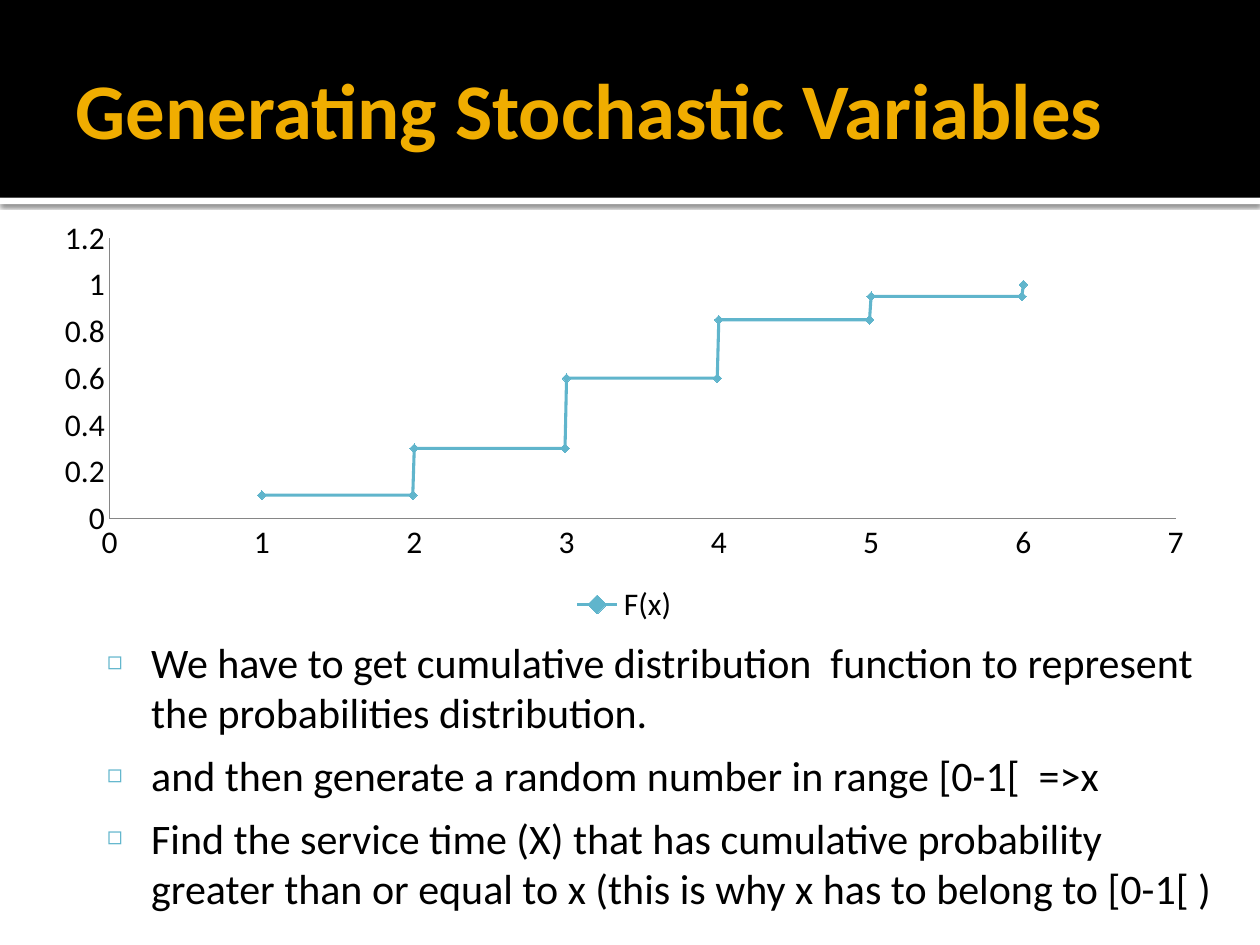
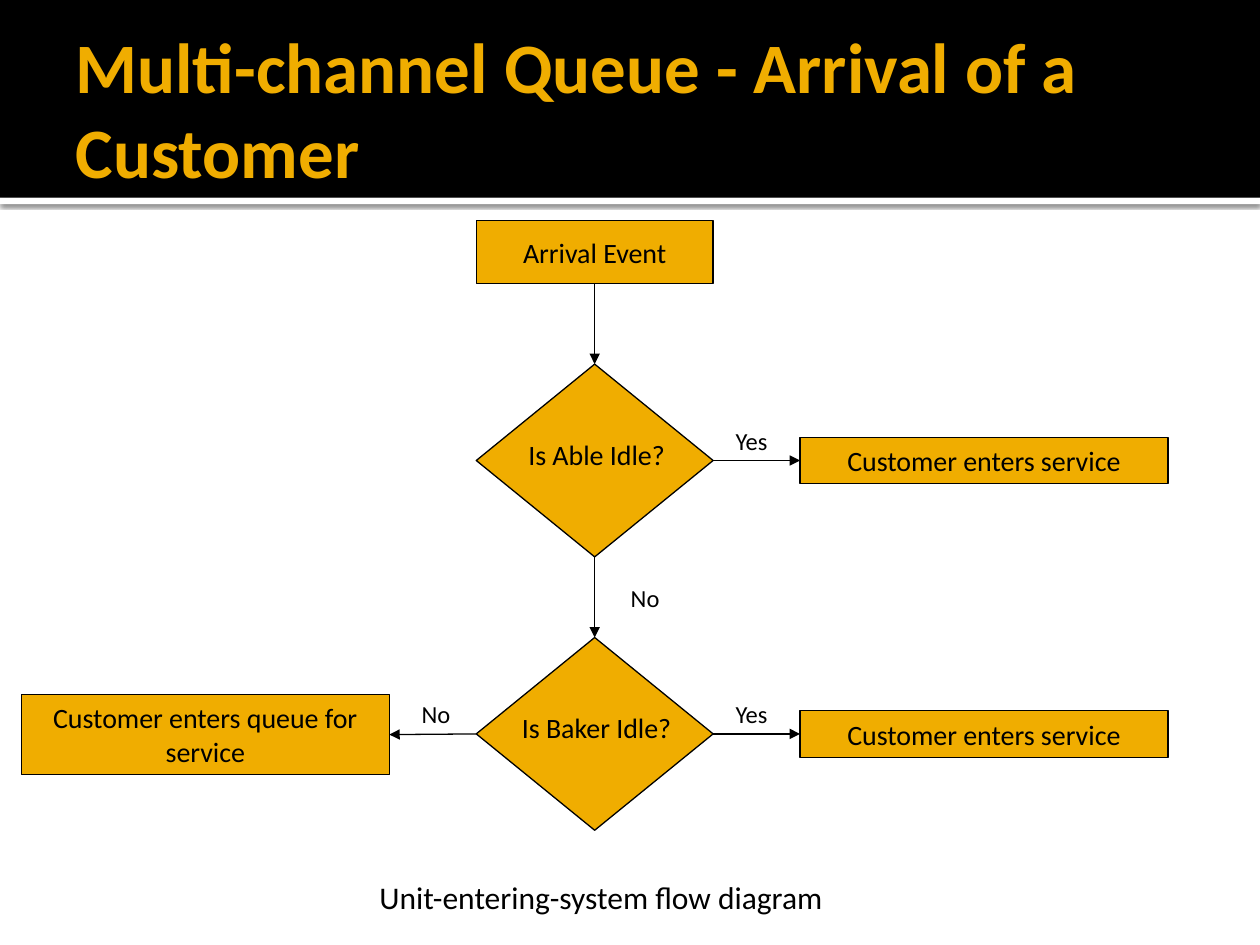
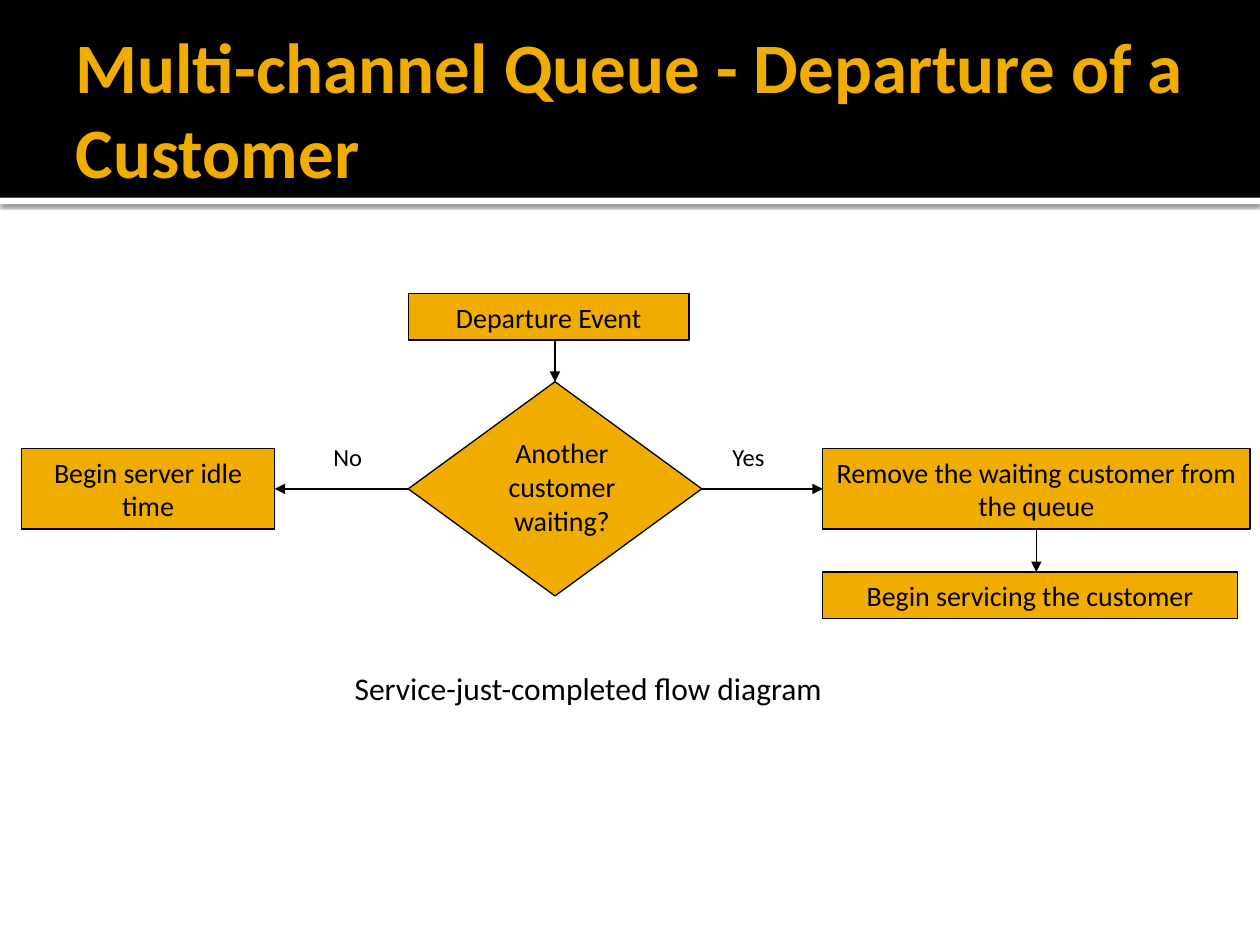
import dataclasses

import lxml.etree
import pptx
import pptx.chart.data
import pptx.dml.color
import pptx.enum.chart
import pptx.enum.shapes
import pptx.enum.text
import pptx.oxml.ns
import pptx.util

Inches = pptx.util.Inches
Pt = pptx.util.Pt
Color = pptx.dml.color.RGBColor
Shape = pptx.enum.shapes.MSO_SHAPE
Align = pptx.enum.text.PP_ALIGN
Anchor = pptx.enum.text.MSO_ANCHOR
qn = pptx.oxml.ns.qn

TOP, LEFT, BOTTOM, RIGHT = range(4)
TITLE_AND_BODY, TITLE_ONLY = 1, 5


@dataclasses.dataclass(frozen=True)
class Theme:
    font: str = "Calibri"
    black: Color = Color(0x00, 0x00, 0x00)
    white: Color = Color(0xFF, 0xFF, 0xFF)
    gold: Color = Color(0xF0, 0xAD, 0x00)
    teal: Color = Color(0x60, 0xB5, 0xCC)
    gray: Color = Color(0x86, 0x86, 0x86)
    title: float = 45
    long_title: float = 40.5
    body: float = 24
    caption: float = 18
    node: float = 16
    branch: float = 14


THEME = Theme()


@dataclasses.dataclass(frozen=True)
class Box:
    left: float
    top: float
    width: float
    height: float

    def inner(self, left, top, width, height):
        return Box(self.left + left, self.top + top, width, height)

    def lengths(self):
        return [Inches(value) for value in dataclasses.astuple(self)]


# ---- Shared helpers ----

def add_xml(parent, tag, **attributes):
    return lxml.etree.SubElement(parent, qn(tag), attributes)


def set_font(font, size, color=THEME.black, bold=False):
    font.name = THEME.font
    font.size = Pt(size)
    font.color.rgb = color
    font.bold = bold


def move(shape, box):
    shape.left, shape.top, shape.width, shape.height = box.lengths()


def write_centred(shape, text, size, anchor=Anchor.MIDDLE, margin=0.1):
    frame = shape.text_frame
    frame.word_wrap = True
    frame.vertical_anchor = anchor
    frame.margin_left = frame.margin_right = Inches(margin)
    frame.text = text
    paragraph = frame.paragraphs[0]
    paragraph.alignment = Align.CENTER
    set_font(paragraph.font, size)


def add_filled(slide, kind, box, color):
    shape = slide.shapes.add_shape(kind, *box.lengths())
    shape.shadow.inherit = False
    shape.fill.solid()
    shape.fill.fore_color.rgb = color
    shape.line.fill.background()
    return shape


# ---- Header band and title ----

def add_master_bands(master, slide):
    """Draw the header bands on a slide, then move them to the back of the master."""
    strip = add_filled(slide, Shape.RECTANGLE, Box(0, 1.57, 10, 0.05), THEME.white)
    effects = strip.element.spPr.find(qn("a:effectLst"))
    shadow = add_xml(effects, "a:outerShdw", blurRad=str(Pt(2.5)), dist=str(Pt(0.8)),
                     dir="5400000", algn="t", rotWithShape="0")
    shade = add_xml(shadow, "a:srgbClr", val=str(THEME.black))
    add_xml(shade, "a:alpha", val="60000")
    header = add_filled(slide, Shape.RECTANGLE, Box(0, 0, 10, 1.57), THEME.black)
    for index, band in enumerate((strip, header)):
        band.element.nvSpPr.cNvPr.id = 20 + index
        master.shapes.element.insert(2 + index, band.element)


def add_titled_slide(presentation, layout, title, size):
    slide = presentation.slides.add_slide(presentation.slide_layouts[layout])
    shape = slide.shapes.title
    move(shape, Box(0.5, 0.17, 9, 1.37))
    frame = shape.text_frame
    frame.auto_size = pptx.enum.text.MSO_AUTO_SIZE.NONE
    frame.vertical_anchor = Anchor.MIDDLE
    frame.margin_left = Inches(0.1)
    frame.margin_right = frame.margin_top = frame.margin_bottom = Inches(0.05)
    frame.text = title
    paragraph = frame.paragraphs[0]
    paragraph.alignment = Align.LEFT
    set_font(paragraph.font, size, THEME.gold, bold=True)
    return slide


# ---- Bulleted list and step chart ----

def fill_bullets(shape, box, lines):
    move(shape, box)
    frame = shape.text_frame
    frame.auto_size = pptx.enum.text.MSO_AUTO_SIZE.NONE
    frame.text = "\n".join(lines)
    for paragraph in frame.paragraphs:
        paragraph.space_before = Pt(7)
        set_font(paragraph.font, THEME.body)
        properties = paragraph._p.get_or_add_pPr()
        properties.set("marL", str(Inches(0.35)))
        properties.set("indent", str(-Inches(0.35)))
        bullet_parts = [lxml.etree.Element(qn(tag)) for tag in
                        ("a:buClr", "a:buSzPct", "a:buFont", "a:buChar")]
        color, size, font, character = bullet_parts
        add_xml(color, "a:srgbClr", val=str(THEME.teal))
        size.set("val", "60000")
        font.set("typeface", THEME.font)
        character.set("char", "◻")
        defaults = properties.find(qn("a:defRPr"))
        for part in bullet_parts:
            defaults.addprevious(part)


def add_step_chart(slide, box, heights):
    data = pptx.chart.data.XyChartData()
    points = data.add_series("F(x)")
    for step, height in enumerate(heights, start=1):
        points.add_data_point(step, height)
        if step < len(heights):
            points.add_data_point(step + 0.99, height)
    chart = slide.shapes.add_chart(
        pptx.enum.chart.XL_CHART_TYPE.XY_SCATTER_LINES, *box.lengths(), data).chart
    set_font(chart.font, THEME.caption)
    chart.has_title = False
    chart.has_legend = True
    chart.legend.position = pptx.enum.chart.XL_LEGEND_POSITION.BOTTOM
    chart.legend.include_in_layout = False
    chart.plots[0].vary_by_categories = False

    for axis, maximum, unit in ((chart.category_axis, 7, 1), (chart.value_axis, 1.2, 0.2)):
        axis.minimum_scale, axis.maximum_scale, axis.major_unit = 0, maximum, unit
        axis.has_major_gridlines = False
        axis.major_tick_mark = pptx.enum.chart.XL_TICK_MARK.NONE
        axis.minor_tick_mark = pptx.enum.chart.XL_TICK_MARK.NONE
        axis.tick_labels.number_format = "General"
        axis.tick_labels.number_format_is_linked = False
        axis.format.line.color.rgb = THEME.gray

    series = chart.plots[0].series[0]
    series.smooth = False
    series.format.line.color.rgb = THEME.teal
    series.format.line.width = Pt(1.75)
    series.marker.style = pptx.enum.chart.XL_MARKER_STYLE.DIAMOND
    series.marker.size = 5
    series.marker.format.fill.solid()
    series.marker.format.fill.fore_color.rgb = THEME.teal
    series.marker.format.line.color.rgb = THEME.teal


# ---- Flow diagram parts ----

def add_node(slide, kind, box, text=""):
    node = add_filled(slide, kind, box, THEME.gold)
    node.line.color.rgb = THEME.black
    node.line.width = Pt(0.75)
    if text:
        write_centred(node, text, THEME.node)
    return node


def add_label(slide, box, text, size, anchor=Anchor.TOP, margin=0.1):
    label = slide.shapes.add_textbox(*box.lengths())
    write_centred(label, text, size, anchor, margin)


def add_arrow(slide, begin_x=0, begin_y=0, end_x=0, end_y=0):
    arrow = slide.shapes.add_connector(
        pptx.enum.shapes.MSO_CONNECTOR.STRAIGHT, begin_x, begin_y, end_x, end_y)
    arrow.line.color.rgb = THEME.black
    arrow.line.width = Pt(0.75)
    add_xml(arrow.line._get_or_add_ln(), "a:tailEnd", type="triangle")
    add_xml(arrow.element.spPr, "a:effectLst")
    return arrow


def join(slide, source, source_side, target, target_side):
    arrow = add_arrow(slide)
    arrow.begin_connect(source, source_side)
    arrow.end_connect(target, target_side)


def add_arrival_flow(slide, box):
    column, width = 3.61, 1.88
    arrival = add_node(slide, Shape.RECTANGLE, box.inner(column, 0, width, 0.5),
                       "Arrival Event")
    decisions, services = [], []
    for server, top in (("Able", 1.14), ("Baker", 3.31)):
        decisions.append(add_node(slide, Shape.FLOWCHART_DECISION,
                                  box.inner(column, top, width, 1.53)))
        add_label(slide, box.inner(column + 0.08, top + 0.53, 1.75, 0.37),
                  f"Is {server} Idle?", THEME.node, Anchor.MIDDLE)
        services.append(add_node(slide, Shape.RECTANGLE,
                                 box.inner(6.18, top + 0.58, 2.92, 0.37),
                                 "Customer enters service"))
        add_label(slide, box.inner(5.51, top + 0.44, 0.57, 0.34), "Yes", THEME.branch)
    able, baker = decisions
    queue = add_node(slide, Shape.RECTANGLE, box.inner(0, 3.76, 2.92, 0.64),
                     "Customer enters queue for service")
    for left, top in ((4.66, 2.83), (3, 3.75)):
        add_label(slide, box.inner(left, top, 0.58, 0.34), "No", THEME.branch)

    join(slide, arrival, BOTTOM, able, TOP)
    join(slide, able, BOTTOM, baker, TOP)
    join(slide, baker, LEFT, queue, RIGHT)
    for decision, service in zip(decisions, services):
        join(slide, decision, RIGHT, service, LEFT)
    add_label(slide, box.inner(1.91, 5.17, 5.38, 0.4),
              "Unit-entering-system flow diagram", THEME.caption)


def add_departure_flow(slide, box):
    decision = add_node(slide, Shape.FLOWCHART_DECISION, box.inner(3.07, 0.7, 2.33, 1.7))
    departure, remove, serve, idle = [
        add_node(slide, Shape.RECTANGLE, box.inner(*place), text) for text, place in (
            ("Departure Event", (3.07, 0, 2.23, 0.37)),
            ("Remove the waiting customer from the queue", (6.36, 1.23, 3.39, 0.64)),
            ("Begin servicing the customer", (6.36, 2.21, 3.29, 0.37)),
            ("Begin server idle time", (0, 1.23, 2.01, 0.64)))]
    add_label(slide, box.inner(3.39, 1.21, 1.8, 0.64), "Another customer waiting?",
              THEME.node, Anchor.MIDDLE, margin=0.35)
    for text, left in (("Yes", 5.4), ("No", 2.22)):
        add_label(slide, box.inner(left, 1.13, 0.74, 0.34), text, THEME.branch)

    join(slide, decision, LEFT, idle, RIGHT)
    join(slide, decision, RIGHT, remove, LEFT)
    middle = decision.left + decision.width // 2
    add_arrow(slide, middle, departure.top + departure.height,
              middle, decision.top).end_connect(decision, TOP)
    middle = remove.left + remove.width // 2
    add_arrow(slide, middle, remove.top + remove.height,
              middle, serve.top).begin_connect(remove, BOTTOM)
    add_label(slide, box.inner(1.16, 2.93, 6.68, 0.4),
              "Service-just-completed flow diagram", THEME.caption)


# ---- Slides ----

def main():
    presentation = pptx.Presentation()
    presentation.slide_width, presentation.slide_height = Inches(10), Inches(7.5)

    slide = add_titled_slide(presentation, TITLE_AND_BODY,
                             "Generating Stochastic Variables", THEME.title)
    add_master_bands(presentation.slide_master, slide)
    fill_bullets(slide.placeholders[1], Box(0.75, 5, 9, 2.42), (
        "We have to get cumulative distribution  function to represent "
        "the probabilities distribution.",
        "and then generate a random number in range [0-1[  =>x",
        "Find the service time (X) that has cumulative probability greater than "
        "or equal to x (this is why x has to belong to [0-1[ )"))
    add_step_chart(slide, Box(0.33, 1.67, 9.25, 3.33), (0.1, 0.3, 0.6, 0.85, 0.95, 1))

    slide = add_titled_slide(presentation, TITLE_ONLY,
                             "Multi-channel Queue - Arrival of a Customer",
                             THEME.long_title)
    add_arrival_flow(slide, Box(0.17, 1.75, 9.12, 5.57))

    slide = add_titled_slide(presentation, TITLE_ONLY,
                             "Multi-channel Queue - Departure of a Customer",
                             THEME.long_title)
    add_departure_flow(slide, Box(0.17, 2.33, 9.75, 3.33))

    presentation.save("out.pptx")


if __name__ == "__main__":
    main()
